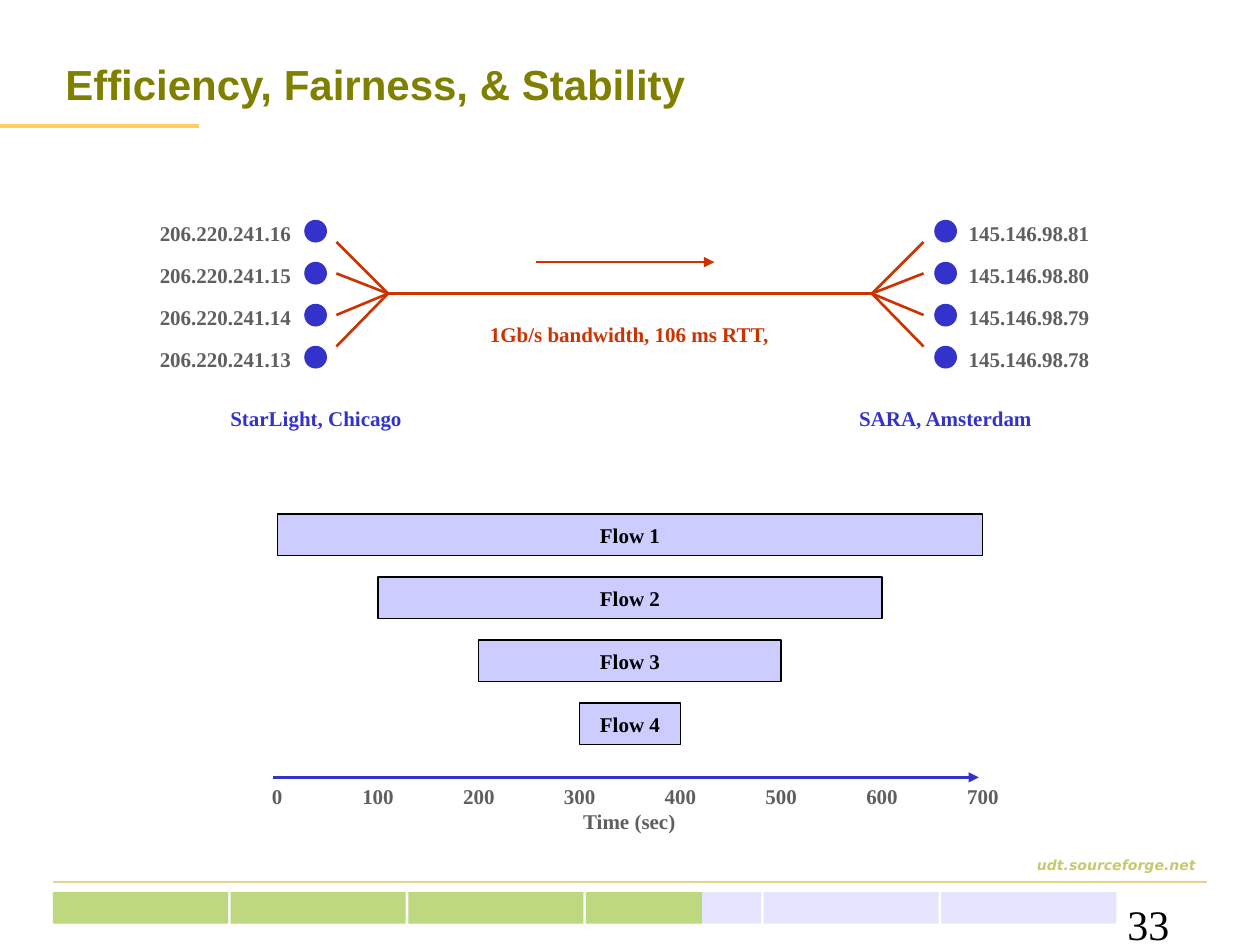
"""Build the slide on efficiency, fairness and stability of parallel flows."""
from lxml.etree import SubElement
from pptx import Presentation
from pptx.dml.color import RGBColor
from pptx.enum.shapes import MSO_CONNECTOR, MSO_SHAPE
from pptx.enum.text import MSO_ANCHOR, PP_ALIGN
from pptx.oxml.ns import qn
from pptx.util import Inches, Pt

OLIVE = RGBColor(0x80, 0x80, 0x00)
PALE_OLIVE = RGBColor(0xC7, 0xC9, 0x71)
ORANGE = RGBColor(0xFF, 0xCC, 0x66)
SAND = RGBColor(0xEB, 0xD0, 0x8D)
LAVENDER = RGBColor(0xCC, 0xCC, 0xFF)
LIME = RGBColor(0x99, 0xCC, 0x00)
BLUE = RGBColor(0x33, 0x33, 0xCC)
RED = RGBColor(0xCC, 0x33, 0x00)
GRAY = RGBColor(0x5F, 0x5F, 0x5F)
BLACK = RGBColor(0x00, 0x00, 0x00)
SERIF = "Times New Roman"

TITLE = "Efficiency, Fairness, & Stability"
SITE = "udt.sourceforge.net"
PAGE_NUMBER = "33"
SENDERS = ["206.220.241.16", "206.220.241.15", "206.220.241.14", "206.220.241.13"]
RECEIVERS = ["145.146.98.81", "145.146.98.80", "145.146.98.79", "145.146.98.78"]
CAPTIONS = [
    ("1Gb/s bandwidth, 106 ms RTT,", RED, 3.79, 2.5, 2.43),
    ("StarLight, Chicago", BLUE, 1.73, 3.17, 1.56),
    ("SARA, Amsterdam", BLUE, 6.72, 3.17, 1.58),
    ("Time (sec)", GRAY, 4.53, 6.37, 0.93),
]
FLOWS = [("Flow 1", 0, 700), ("Flow 2", 100, 600), ("Flow 3", 200, 500), ("Flow 4", 300, 400)]
TICKS = range(0, 800, 100)

AXIS_LEFT, INCHES_PER_SECOND = 2.2, 0.008
HOST_TOP, HOST_STEP, DOT_SIZE = 1.75, 1 / 3, 0.17
LINK_LEFT, LINK_RIGHT, LINK_Y = 3.08, 6.92, 2.33
FAN_ENDS = [1.92, 2.17, 2.5, 2.75]
FAN_WIDTH = 0.41
BAR_LEFT, BAR_TOP, BAR_STEP = 0.42, 7.08, 1.41
BAR_WIDTH, BAR_HEIGHT, BAR_COUNT = 1.39, 0.25, 6


def write(shape, text, color, size=12, font=SERIF, bold=True, italic=False,
          align=PP_ALIGN.LEFT, anchor=MSO_ANCHOR.TOP, wrap=False):
    frame = shape.text_frame
    frame.word_wrap = wrap
    frame.vertical_anchor = anchor
    para = frame.paragraphs[0]
    para.alignment = align
    span = para.add_run()
    span.text = text
    span.font.name = font
    span.font.size = Pt(size)
    span.font.bold = bold
    span.font.italic = italic
    span.font.color.rgb = color


def add_text(page, text, color, left, top, width, height=0.3, **style):
    box = page.shapes.add_textbox(Inches(left), Inches(top), Inches(width), Inches(height))
    write(box, text, color, **style)


def add_block(page, kind, left, top, width, height, fill, line=None, alpha=None):
    block = page.shapes.add_shape(
        kind, Inches(left), Inches(top), Inches(width), Inches(height))
    block.shadow.inherit = False
    block.fill.solid()
    block.fill.fore_color.rgb = fill
    if alpha is not None:
        color = block.fill._xPr.find(qn("a:solidFill"))[0]
        SubElement(color, qn("a:alpha"), val=str(alpha * 1000))
    if line is None:
        block.line.fill.background()
    else:
        block.line.color.rgb = line
        block.line.width = Pt(0.75)
    return block


def add_line(page, x1, y1, x2, y2, color, width, arrow=False):
    line = page.shapes.add_connector(
        MSO_CONNECTOR.STRAIGHT, Inches(x1), Inches(y1), Inches(x2), Inches(y2))
    line.line.color.rgb = color
    line.line.width = Pt(width)
    if arrow:
        SubElement(line.line._get_or_add_ln(), qn("a:tailEnd"), type="triangle")
    SubElement(line._element.spPr, qn("a:effectLst"))


def add_bar(page, index, color, width=BAR_WIDTH):
    add_block(page, MSO_SHAPE.RECTANGLE, BAR_LEFT + index * BAR_STEP, BAR_TOP,
              width, BAR_HEIGHT, color, alpha=50)


def add_frame(page):
    add_line(page, 0, 1, 1.58, 1, ORANGE, 2.25)
    add_line(page, 0.42, 7, 9.58, 7, SAND, 1)
    add_text(page, SITE, PALE_OLIVE, 0.42, 6.75, 9.17, 0.25, size=8, font="DejaVu Sans",
             italic=True, align=PP_ALIGN.RIGHT, wrap=True)
    for index in range(BAR_COUNT):
        add_bar(page, index, LAVENDER)
    for index in range(3):
        add_bar(page, index, LIME)
    add_bar(page, 3, LIME, 0.92)
    add_text(page, TITLE, OLIVE, 0.42, 0.25, 9.17, 0.83, size=24, font="Arial",
             anchor=MSO_ANCHOR.MIDDLE, wrap=True)
    add_text(page, PAGE_NUMBER, BLACK, 8.85, 7.08, 0.74, 0.42, size=24, bold=False, wrap=True)


def add_timeline(page):
    for index, (name, start, end) in enumerate(FLOWS):
        bar = add_block(page, MSO_SHAPE.RECTANGLE, AXIS_LEFT + start * INCHES_PER_SECOND,
                        4.08 + index * 0.5, (end - start) * INCHES_PER_SECOND, 0.33,
                        LAVENDER, BLACK)
        write(bar, name, BLACK, align=PP_ALIGN.CENTER, anchor=MSO_ANCHOR.MIDDLE)
    add_line(page, 2.17, 6.17, 7.77, 6.17, BLUE, 1.5, arrow=True)
    for tick in TICKS:
        width = 0.45 if tick else 0.28
        center = AXIS_LEFT + tick * INCHES_PER_SECOND
        add_text(page, str(tick), GRAY, center - width / 2, 6.17, width,
                 align=PP_ALIGN.CENTER)


def add_network(page):
    for hosts, dot_left, text_left, text_width in (
            (SENDERS, 2.42, 1.17, 1.24), (RECEIVERS, 7.42, 7.59, 1.16)):
        for index, host in enumerate(hosts):
            top = HOST_TOP + index * HOST_STEP
            add_block(page, MSO_SHAPE.OVAL, dot_left, top, DOT_SIZE, DOT_SIZE, BLUE, BLUE)
            add_text(page, host, GRAY, text_left, top - 0.05, text_width)
    add_line(page, LINK_LEFT, LINK_Y, LINK_RIGHT, LINK_Y, RED, 1.5)
    for end in FAN_ENDS:
        add_line(page, LINK_LEFT - FAN_WIDTH, end, LINK_LEFT, LINK_Y, RED, 1.5)
        add_line(page, LINK_RIGHT, LINK_Y, LINK_RIGHT + FAN_WIDTH, end, RED, 1.5)
    add_line(page, 4.25, 2.08, 5.67, 2.08, RED, 1, arrow=True)


def main():
    deck = Presentation()
    deck.slide_width, deck.slide_height = Inches(10), Inches(7.5)
    page = deck.slides.add_slide(deck.slide_layouts[6])
    add_frame(page)
    add_timeline(page)
    add_network(page)
    for text, color, left, top, width in CAPTIONS:
        add_text(page, text, color, left, top, width)
    deck.save("out.pptx")


if __name__ == "__main__":
    main()
